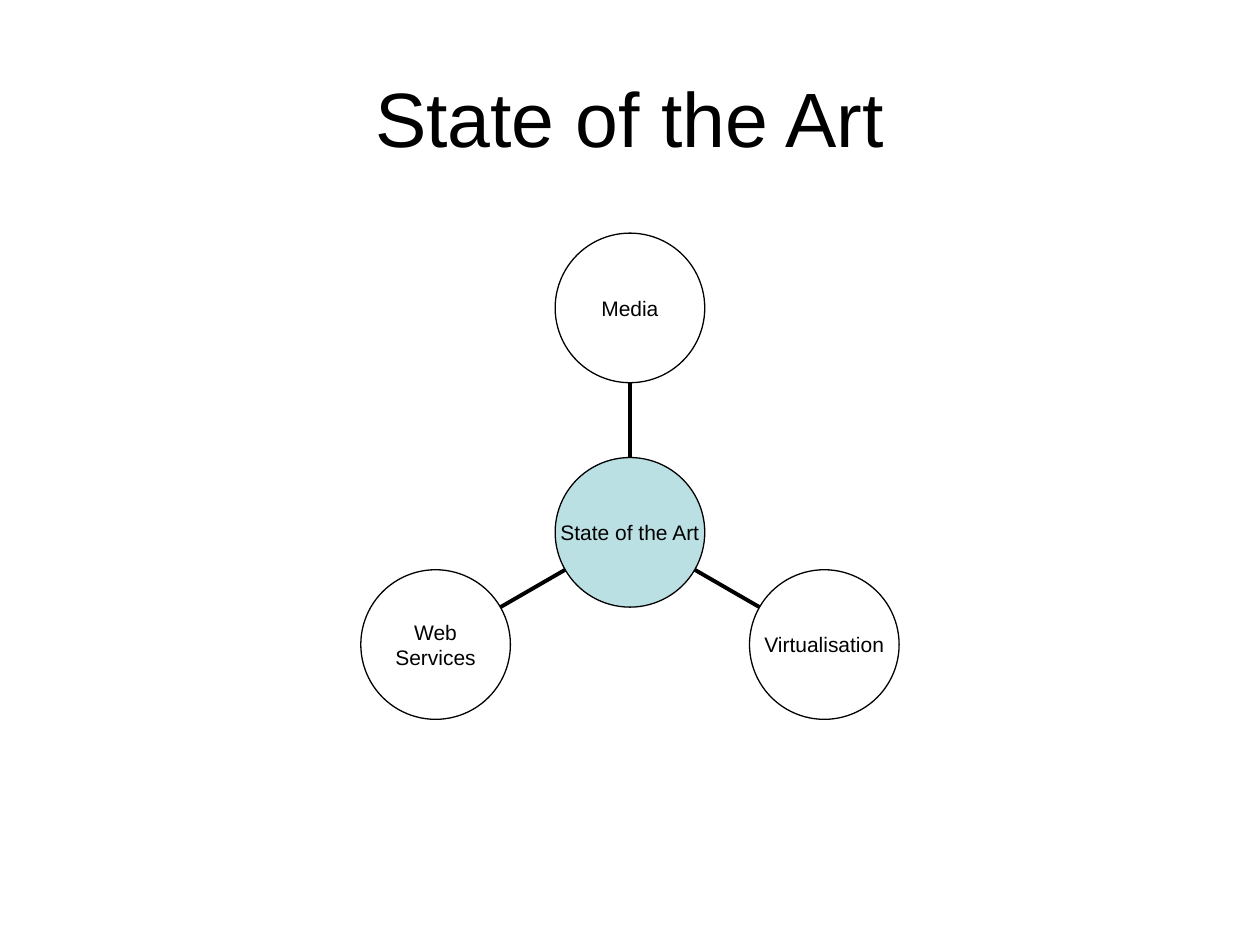
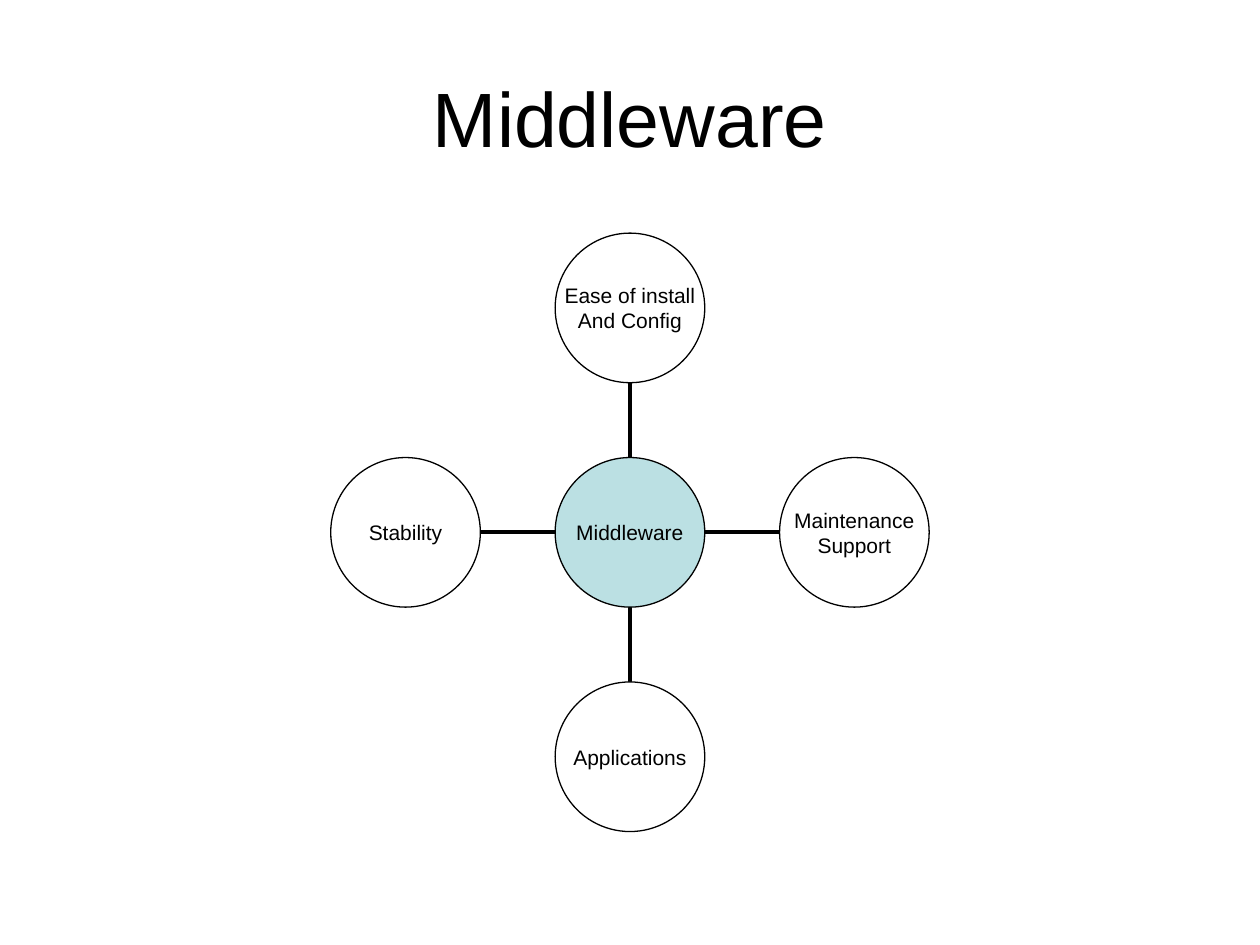
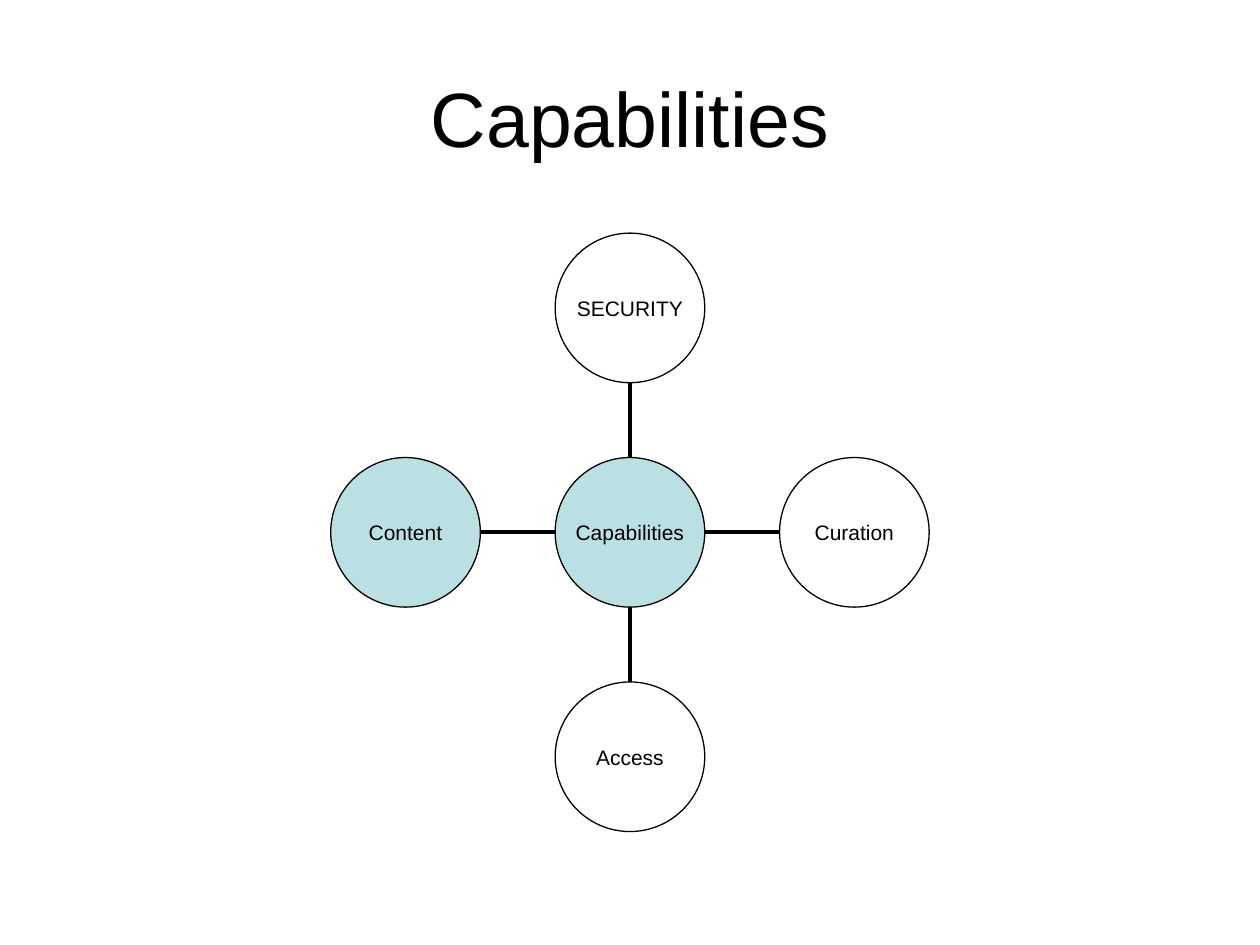
import math
from dataclasses import dataclass

import pptx
import pptx.dml.color
import pptx.enum.shapes
import pptx.enum.text
import pptx.util
from lxml import etree
from pptx.oxml.ns import qn


@dataclass(frozen=True)
class Theme:
    font: str = "Arial"
    ink: str = "000000"
    plain: str = "FFFFFF"
    accent: str = "BBE0E3"
    title_size: float = 44
    label_size: float = 12
    outline: float = 0.75
    spoke: float = 2.25


@dataclass(frozen=True)
class Box:
    left: float
    top: float
    width: float
    height: float


THEME = Theme()
SLIDE_WIDTH, SLIDE_HEIGHT = 10, 7.5

# Regions as shares of the slide's size
TITLE_BOX = Box(0.05 * SLIDE_WIDTH, 0.04 * SLIDE_HEIGHT,
                0.9 * SLIDE_WIDTH, SLIDE_HEIGHT / 6)
DIAGRAM_SIDE = 0.475 * SLIDE_WIDTH
DIAGRAM_BOX = Box((SLIDE_WIDTH - DIAGRAM_SIDE) / 2, 0.2467 * SLIDE_HEIGHT,
                  DIAGRAM_SIDE, DIAGRAM_SIDE)

# Title (also the hub label), satellites clockwise from the top, accented ones
SLIDES = [
    ("State of the Art", ["Media", "Virtualisation", "Web\nServices"], set()),
    ("Middleware",
     ["Ease of install\nAnd Config", "Maintenance\nSupport", "Applications", "Stability"],
     set()),
    ("Capabilities", ["SECURITY", "Curation", "Access", "Content"], {"Content"}),
]


def inches(*lengths):
    return [pptx.util.Inches(length) for length in lengths]


def color(value):
    return pptx.dml.color.RGBColor.from_string(value)


def write_text(frame, text, size):
    frame.text = text
    frame.vertical_anchor = pptx.enum.text.MSO_ANCHOR.MIDDLE
    for para in frame.paragraphs:
        para.alignment = pptx.enum.text.PP_ALIGN.CENTER
        para.font.name = THEME.font
        para.font.size = pptx.util.Pt(size)
        para.font.color.rgb = color(THEME.ink)


def add_title(page, box, text):
    title = page.shapes.add_textbox(*inches(box.left, box.top, box.width, box.height))
    title.text_frame.word_wrap = True
    write_text(title.text_frame, text, THEME.title_size)


def draw_line(line, width):
    line.color.rgb = color(THEME.ink)
    line.width = pptx.util.Pt(width)


def add_spoke(group, start, end):
    spoke = group.shapes.add_connector(
        pptx.enum.shapes.MSO_CONNECTOR.STRAIGHT, *inches(*start, *end))
    draw_line(spoke.line, THEME.spoke)
    etree.SubElement(spoke._element.spPr, qn("a:effectLst"))


def add_circle(group, center, diameter, label, fill):
    x, y = center
    circle = group.shapes.add_shape(
        pptx.enum.shapes.MSO_SHAPE.OVAL,
        *inches(x - diameter / 2, y - diameter / 2, diameter, diameter))
    circle.shadow.inherit = False
    circle.fill.solid()
    circle.fill.fore_color.rgb = color(fill)
    draw_line(circle.line, THEME.outline)
    frame = circle.text_frame
    frame.word_wrap = False
    frame.margin_left = frame.margin_right = frame.margin_top = frame.margin_bottom = 0
    write_text(frame, label, THEME.label_size)


def add_radial_diagram(page, box, hub_label, satellites, accented):
    # Four circles span the box; the gap between circles is half a diameter
    diameter = box.width / 4
    hub = (box.left + box.width / 2, box.top + box.height / 2)
    group = page.shapes.add_group_shape()

    def point_at(angle, distance):
        return hub[0] + distance * math.sin(angle), hub[1] - distance * math.cos(angle)

    # The first satellite and the hub lie in front
    for index, label in reversed(list(enumerate(satellites))):
        angle = math.tau * index / len(satellites)
        add_spoke(group, point_at(angle, diameter / 2), point_at(angle, diameter))
        fill = THEME.accent if label in accented else THEME.plain
        add_circle(group, point_at(angle, 1.5 * diameter), diameter, label, fill)
    add_circle(group, hub, diameter, hub_label, THEME.accent)


def main():
    deck = pptx.Presentation()
    deck.slide_width, deck.slide_height = inches(SLIDE_WIDTH, SLIDE_HEIGHT)
    blank = deck.slide_layouts[6]
    for title, satellites, accented in SLIDES:
        page = deck.slides.add_slide(blank)
        add_title(page, TITLE_BOX, title)
        add_radial_diagram(page, DIAGRAM_BOX, title, satellites, accented)
    deck.save("out.pptx")


if __name__ == "__main__":
    main()
